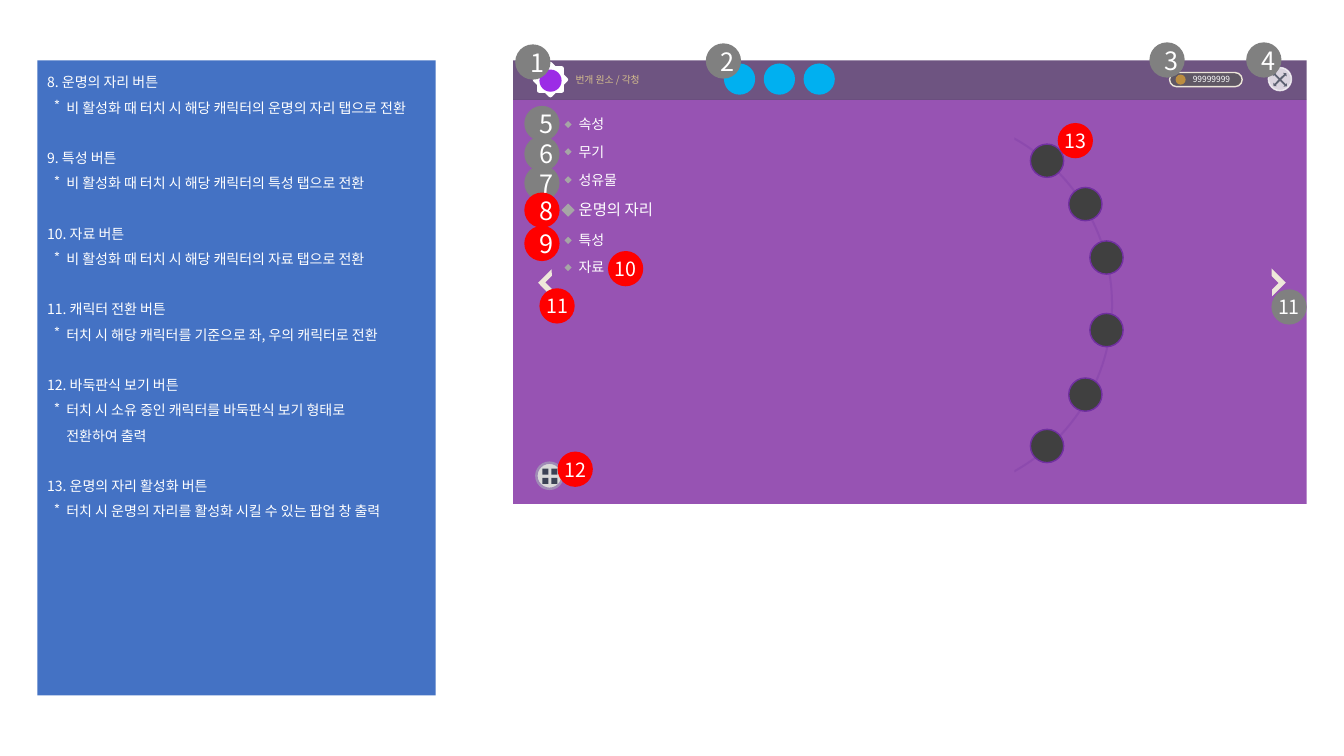
import math

from lxml import etree
from pptx import Presentation
from pptx.dml.color import RGBColor
from pptx.enum.shapes import MSO_SHAPE
from pptx.enum.text import MSO_ANCHOR, MSO_AUTO_SIZE, PP_ALIGN
from pptx.oxml.ns import qn
from pptx.util import Pt

PX = 9144  # 100 px to the inch
FONT = "Noto Sans CJK KR"
WHITE, GRAY, RED, PURPLE = "FFFFFF", "808080", "FF0000", "7030A0"
RECT, OVAL, DIAMOND = MSO_SHAPE.RECTANGLE, MSO_SHAPE.OVAL, MSO_SHAPE.DIAMOND
ROUNDED, HALF_FRAME, CROSS = MSO_SHAPE.ROUNDED_RECTANGLE, MSO_SHAPE.HALF_FRAME, MSO_SHAPE.QUAD_ARROW
TOP, MIDDLE = MSO_ANCHOR.TOP, MSO_ANCHOR.MIDDLE
LEFT, CENTER, RIGHT = PP_ALIGN.LEFT, PP_ALIGN.CENTER, PP_ALIGN.RIGHT
FIT_SHAPE = MSO_AUTO_SIZE.SHAPE_TO_FIT_TEXT
rgb = RGBColor.from_string


def add_part(parent, kind, box, fill, opacity=100, line=None, line_width=1,
             line_opacity=100, adjust=(), turn=0):
    """Add a preset shape; box is left, top, width, height in px."""
    part = parent.add_shape(kind, *[round(n * PX) for n in box])
    part.shadow.inherit = False
    part.rotation = turn
    for i, value in enumerate(adjust):
        part.adjustments[i] = value
    part.fill.solid()
    part.fill.fore_color.rgb = rgb(fill)
    if line:
        part.line.color.rgb = rgb(line)
        part.line.width = Pt(line_width)
    else:
        part.line.fill.background()
    for where, percent in (("", opacity), ("a:ln/", line_opacity)):
        for color in part._element.spPr.xpath(where + "a:solidFill/a:srgbClr"):
            if percent < 100:
                etree.SubElement(color, qn("a:alpha"), val=str(percent * 1000))
    return part


def write(paragraph, text, size, color=WHITE, align=LEFT):
    paragraph.alignment = align
    run = paragraph.add_run()
    run.text = text
    run.font.size = Pt(size)
    run.font.name = FONT
    run.font.color.rgb = rgb(color)
    east_asian = etree.SubElement(run.font._element, qn("a:ea"))
    east_asian.set("typeface", FONT)


prs = Presentation()
prs.slide_width, prs.slide_height = 1333 * PX, 750 * PX
slide = prs.slides.add_slide(prs.slide_layouts[6])
shapes = slide.shapes

# Game screen and its title bar
add_part(shapes, RECT, (509, 99, 787, 401), "9753B3")
add_part(shapes, RECT, (509, 60, 787, 39), "3E1B57", opacity=75)
element_icon = shapes.add_group_shape().shapes
for turn in (0, 315):
    add_part(element_icon, RECT, (535, 68, 22, 22), WHITE, line=WHITE, line_width=3, turn=turn)
add_part(element_icon, OVAL, (535, 69, 22, 22), "9C2CE6")
for i in range(3):
    add_part(shapes, OVAL, (718 + 39.5 * i, 63, 31, 31), "00B0F0")

# Title and tab menu: text, top, width, height, size, colour, diamond side
menu = [
    ("번개 원소 / 각청", 68, 208, 22, 7, "D6BF8E", 0),
    ("속성", 110, 73, 27, 10, WHITE, 7),
    ("무기", 137, 76, 27, 10, WHITE, 7),
    ("성유물", 165, 73, 27, 10, WHITE, 7),
    ("운명의 자리", 194, 98, 29, 11, WHITE, 13),
    ("특성", 225, 95, 27, 10, WHITE, 7),
    ("자료", 252, 94, 27, 10, WHITE, 7),
]
for text, top, width, height, size, color, side in menu:
    left = 564 if side else 561
    label = shapes.add_textbox(left * PX, top * PX, width * PX, height * PX).text_frame
    label.word_wrap = True
    label.auto_size = FIT_SHAPE
    write(label.paragraphs[0], text, size, color)
    if side:
        middle = top + height / 2
        add_part(shapes, DIAMOND, (563.5 - side / 2, middle - side / 2, side, side), "A6A6A6")

# Character arrows and grid view button
for left, top, turn in ((538, 271, 315.3), (1252, 270, 135)):
    add_part(shapes, HALF_FRAME, (left, top, 19, 20), "EEE8DA", adjust=(0.25, 0.28), turn=turn)
add_part(shapes, OVAL, (532, 459, 26, 26), "D9D9D9", line="9F8AB6", line_width=1.75)
grid_icon = shapes.add_group_shape().shapes
for left in (538, 547):
    for top in (465, 474):
        add_part(grid_icon, RECT, (left, top, 6, 6), "3B4255")

# Constellation arc: a thin ring cut off at x = 1006
center_x, center_y, cut = 914, 302.5, 92
outline = []
for radius, direction in ((190, 1), (188, -1)):
    end = math.acos(cut / radius)
    for step in range(-30, 31):
        angle = direction * end * step / 30
        outline.append((round((center_x + radius * math.cos(angle)) * PX),
                        round((center_y + radius * math.sin(angle)) * PX)))
builder = shapes.build_freeform(*outline[0], scale=1.0)
builder.add_line_segments(outline[1:], close=True)
arc = builder.convert_to_shape()
arc.shadow.inherit = False
arc.fill.solid()
arc.fill.fore_color.rgb = rgb(PURPLE)
arc_color = arc._element.spPr.xpath("a:solidFill/a:srgbClr")[0]
etree.SubElement(arc_color, qn("a:alpha"), val="25000")
arc.line.fill.background()
for left, top in ((1022, 143), (1060, 186), (1081, 239), (1081, 311), (1060, 375), (1022, 426)):
    add_part(shapes, OVAL, (left, top, 33, 33), "404040", line=PURPLE)

# Currency counter and close button
counter = add_part(shapes, ROUNDED, (1160, 72, 72, 14), "595959", opacity=70,
                   line="ECE5D8", adjust=(0.5,)).text_frame
counter.vertical_anchor = MIDDLE
write(counter.paragraphs[0], "99999999", 6, align=RIGHT)
add_part(shapes, OVAL, (1166, 74, 10, 10), "BC8D40")
add_part(shapes, OVAL, (1258, 67, 23, 23), WHITE, opacity=75, line=WHITE, line_opacity=75)
add_part(shapes, CROSS, (1260, 70, 19, 18), "3B4254", opacity=78,
         adjust=(0.1, 0.14, 0.12), turn=45)

# Numbered callouts
callouts = [
    (1, 511, 44, GRAY), (2, 700, 43, GRAY), (3, 1140, 42, GRAY), (4, 1236, 42, GRAY),
    (5, 520, 105, GRAY), (6, 520, 135, GRAY), (7, 520, 164, GRAY), (8, 520, 191, RED),
    (9, 520, 224, RED), (10, 603, 249, RED), (11, 535, 286, RED), (11, 1261, 287, GRAY),
    (12, 553, 448, RED), (13, 1049, 122, RED),
]
for number, left, top, color in callouts:
    frame = add_part(shapes, OVAL, (left, top, 35, 35), color).text_frame
    frame.vertical_anchor = MIDDLE
    if number > 9:
        frame.margin_left = frame.margin_right = frame.margin_top = frame.margin_bottom = 0
    write(frame.paragraphs[0], str(number), 14 if number > 9 else 18, align=CENTER)

# Description panel
descriptions = [
    ("8. 운명의 자리 버튼", ["비 활성화 때 터치 시 해당 캐릭터의 운명의 자리 탭으로 전환"]),
    ("9. 특성 버튼", ["비 활성화 때 터치 시 해당 캐릭터의 특성 탭으로 전환"]),
    ("10. 자료 버튼", ["비 활성화 때 터치 시 해당 캐릭터의 자료 탭으로 전환"]),
    ("11. 캐릭터 전환 버튼", ["터치 시 해당 캐릭터를 기준으로 좌, 우의 캐릭터로 전환"]),
    ("12. 바둑판식 보기 버튼", ["터치 시 소유 중인 캐릭터를 바둑판식 보기 형태로", "전환하여 출력"]),
    ("13. 운명의 자리 활성화 버튼", ["터치 시 운명의 자리를 활성화 시킬 수 있는 팝업 창 출력"]),
]
panel = add_part(shapes, RECT, (37, 60, 395, 630), "4472C4").text_frame
panel.word_wrap = True
panel.vertical_anchor = TOP
for i, (heading, lines) in enumerate(descriptions):
    title = panel.add_paragraph() if i else panel.paragraphs[0]
    title.line_spacing = 1.5
    if i:
        title.space_before = Pt(18)
    write(title, heading, 10)
    detail = panel.add_paragraph()
    detail.line_spacing = 1.5
    properties = detail._p.get_or_add_pPr()
    properties.set("marL", str(19 * PX))
    properties.set("indent", str(-12 * PX))
    etree.SubElement(properties, qn("a:buChar"), char="*")
    for j, line in enumerate(lines):
        if j:
            detail.add_line_break()
        write(detail, line, 10)

prs.save("out.pptx")
